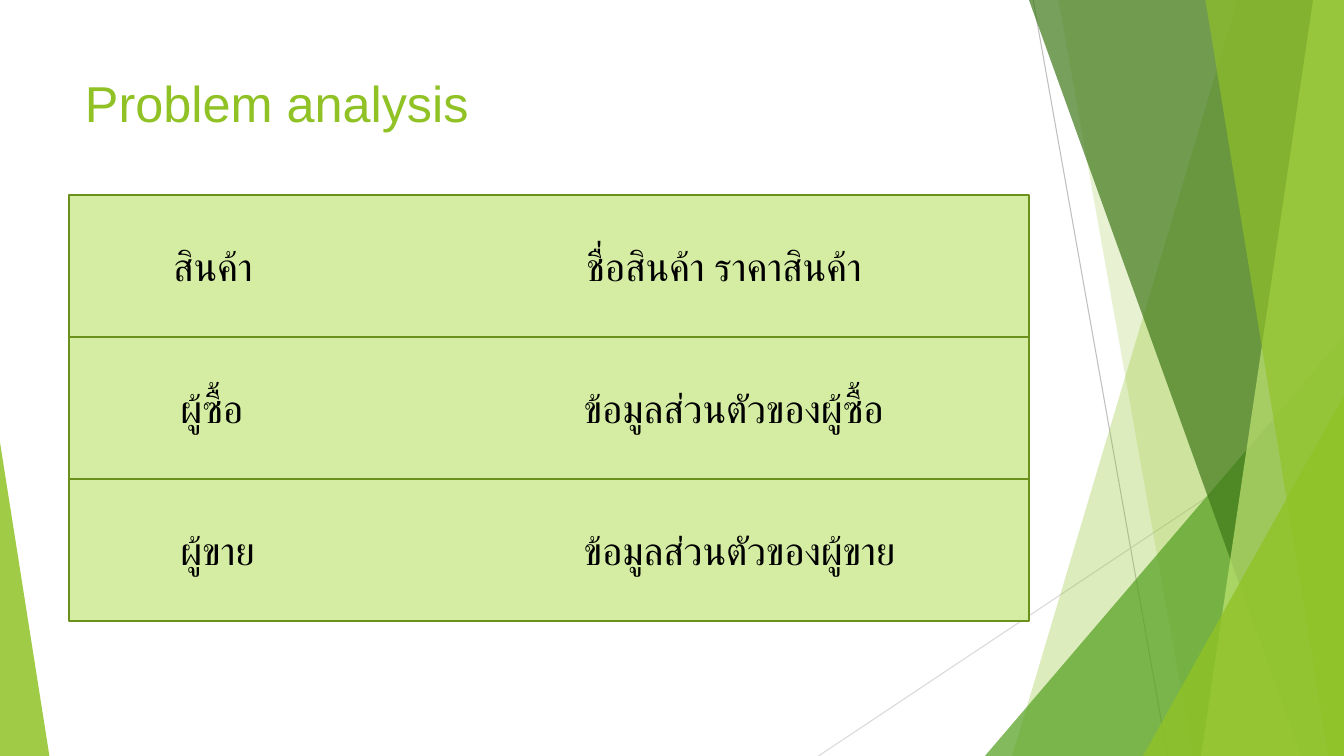
"""Build the problem analysis slide with its faceted green decoration."""

from dataclasses import dataclass

from lxml.etree import SubElement
from pptx import Presentation
from pptx.dml.color import RGBColor
from pptx.enum.shapes import MSO_CONNECTOR as Connector, MSO_SHAPE as Shape
from pptx.enum.text import MSO_ANCHOR as Anchor, MSO_AUTO_SIZE as AutoSize, PP_ALIGN as Align
from pptx.oxml.ns import qn
from pptx.util import Pt

WIDTH, HEIGHT = 960, 540
FONT = "Arial"
COLORS = {
    "green": "90C226",
    "leaf": "54A021",
    "forest": "3F7819",
    "lime": "C0E474",
    "row": "D5EDA2",
    "border": "6B901C",
    "text": "000000",
    "gray": "BFBFBF",
    "pale": "D9D9D9",
}
ROW_LEFT, ROW_TOP, ROW_WIDTH, ROW_HEIGHT = 49, 139, 686, 101.5
TEXT_RIGHT, TEXT_OFFSET, TEXT_HEIGHT = 709, 30.3, 41
DETAIL_LEFT = 417


@dataclass(frozen=True)
class Ray:
    """A thin straight line."""

    start: tuple[float, float]
    end: tuple[float, float]
    color: str


@dataclass(frozen=True)
class Band:
    """A full-height facet that reaches the right edge of the page."""

    top_left: float
    bottom_left: float
    color: str
    opacity: int


@dataclass(frozen=True)
class Wedge:
    """A triangle on the bottom edge with its apex at a share of its width."""

    left: float
    top: float
    width: float
    apex: float
    color: str
    opacity: int


@dataclass(frozen=True)
class Row:
    """A subject and its details."""

    subject: str
    detail: str
    text_left: float
    detail_left: float


RAYS = [
    Ray((738, 0), (834, HEIGHT), "gray"),
    Ray((WIDTH, 290), (584.6, HEIGHT), "pale"),
]
FACETS = [
    Band(884, 723, "green", 30),
    Band(756, 852, "green", 20),
    Wedge(703.5, 240, 256.5, 1, "leaf", 72),
    Band(735, 929.5, "forest", 70),
    Band(938, 858, "lime", 70),
    Band(861, 949, "green", 65),
    Wedge(816.5, 283, 143.5, 1, "green", 80),
    Wedge(0, 316, 35.3, 0, "green", 85),
]
ROWS = [
    Row("สินค้า", "ชื่อสินค้า ราคาสินค้า", 116.6, DETAIL_LEFT + 2),
    Row("ผู้ซื้อ", "ข้อมูลส่วนตัวของผู้ซื้อ", 121.7, DETAIL_LEFT),
    Row("ผู้ขาย", "ข้อมูลส่วนตัวของผู้ขาย", 121.7, DETAIL_LEFT),
]


def rgb(name: str) -> RGBColor:
    """Look up a named colour."""
    return RGBColor.from_string(COLORS[name])


def add_span(para, text: str, size: float, color: str) -> None:
    """Add one formatted run."""
    span = para.add_run()
    span.text = text
    span.font.name = FONT
    span.font.size = Pt(size)
    span.font.color.rgb = rgb(color)


def add_ray(page, ray: Ray) -> None:
    """Draw a thin line without a shadow."""
    line = page.shapes.add_connector(
        Connector.STRAIGHT, *(Pt(value) for value in ray.start + ray.end)
    )
    line.line.color.rgb = rgb(ray.color)
    line.line.width = Pt(0.75)
    SubElement(line.element.spPr, qn("a:effectLst"))


def add_facet(page, facet: Band | Wedge) -> None:
    """Draw a translucent band or wedge."""
    if isinstance(facet, Band):
        builder = page.shapes.build_freeform(Pt(facet.top_left), 0)
        corners = [(WIDTH, 0), (WIDTH, HEIGHT), (facet.bottom_left, HEIGHT)]
        builder.add_line_segments([(Pt(x), Pt(y)) for x, y in corners])
        shape = builder.convert_to_shape()
    else:
        shape = page.shapes.add_shape(
            Shape.ISOSCELES_TRIANGLE,
            Pt(facet.left), Pt(facet.top), Pt(facet.width), Pt(HEIGHT - facet.top),
        )
        shape.adjustments[0] = facet.apex
    shape.shadow.inherit = False
    shape.line.fill.background()
    shape.fill.solid()
    shape.fill.fore_color.rgb = rgb(facet.color)
    color = shape.element.spPr.find(qn("a:solidFill"))[0]
    SubElement(color, qn("a:alpha"), val=str(facet.opacity * 1000))


def set_title(page, text: str) -> None:
    """Place the title above the decoration and fill it."""
    title = page.shapes.title
    page.shapes.element.append(title.element)
    title.left, title.top, title.width, title.height = Pt(53.5), Pt(48), Pt(677), Pt(104)
    frame = title.text_frame
    frame.auto_size = AutoSize.NONE
    frame.vertical_anchor = Anchor.TOP
    para = frame.paragraphs[0]
    para.alignment = Align.LEFT
    add_span(para, text, 36, "green")


def add_panel(page, top: float) -> None:
    """Draw the background of a row."""
    panel = page.shapes.add_shape(
        Shape.RECTANGLE, Pt(ROW_LEFT), Pt(top), Pt(ROW_WIDTH), Pt(ROW_HEIGHT)
    )
    panel.shadow.inherit = False
    panel.fill.solid()
    panel.fill.fore_color.rgb = rgb("row")
    panel.line.color.rgb = rgb("border")
    panel.line.width = Pt(1.5)


def add_row_text(page, row: Row, top: float) -> None:
    """Write the subject and, at a tab stop, the details."""
    box = page.shapes.add_textbox(
        Pt(row.text_left), Pt(top + TEXT_OFFSET),
        Pt(TEXT_RIGHT - row.text_left), Pt(TEXT_HEIGHT),
    )
    frame = box.text_frame
    frame.word_wrap = True
    frame.auto_size = AutoSize.SHAPE_TO_FIT_TEXT
    para = frame.paragraphs[0]
    para.alignment = Align.LEFT
    stops = SubElement(para.alignment and para._p.get_or_add_pPr(), qn("a:tabLst"))
    position = Pt(row.detail_left - row.text_left) - frame.margin_left
    SubElement(stops, qn("a:tab"), pos=str(position), algn="l")
    add_span(para, f"{row.subject}\t{row.detail}", 28, "text")


def main() -> None:
    """Assemble and save the deck."""
    deck = Presentation()
    deck.slide_width, deck.slide_height = Pt(WIDTH), Pt(HEIGHT)
    page = deck.slides.add_slide(deck.slide_layouts[5])
    for ray in RAYS:
        add_ray(page, ray)
    for facet in FACETS:
        add_facet(page, facet)
    set_title(page, "Problem analysis")
    tops = [ROW_TOP + index * ROW_HEIGHT for index in range(len(ROWS))]
    for top in tops:
        add_panel(page, top)
    for row, top in zip(ROWS, tops):
        add_row_text(page, row, top)
    deck.save("out.pptx")


if __name__ == "__main__":
    main()
